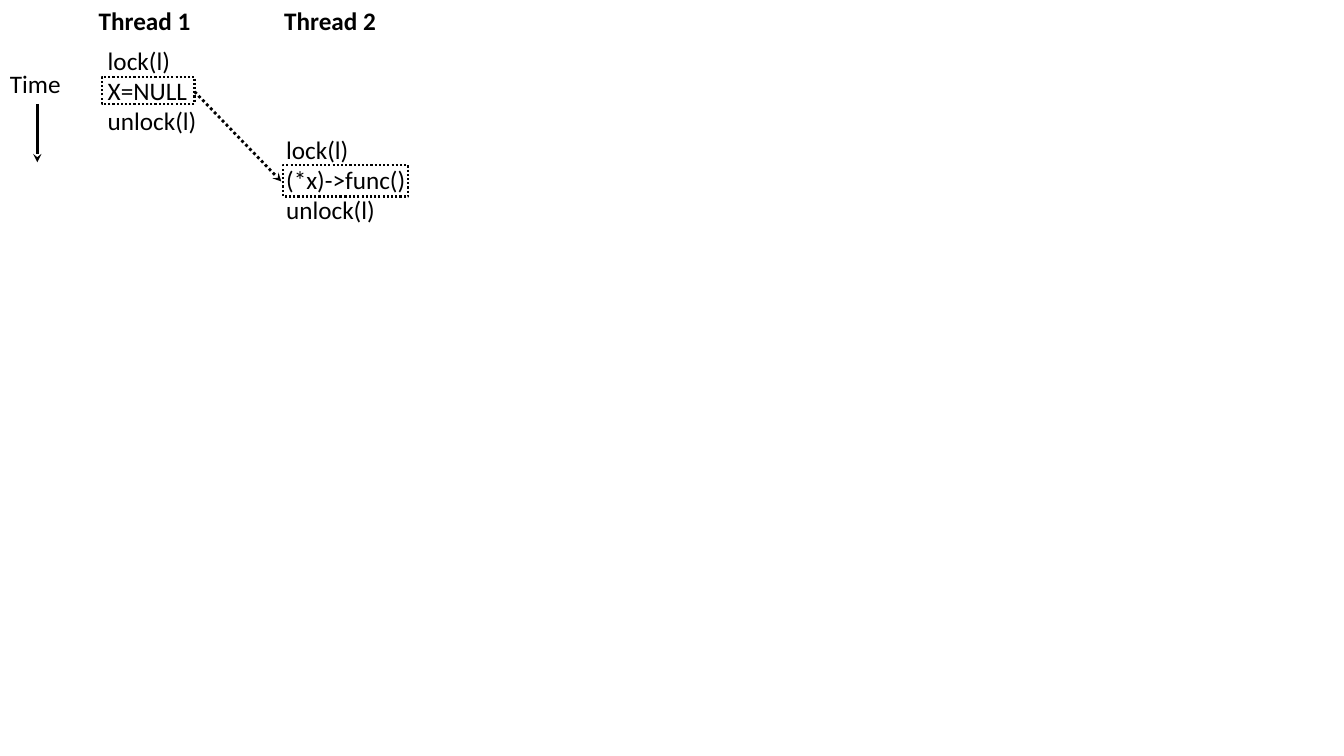
from lxml import etree
from pptx import Presentation
from pptx.dml.color import RGBColor
from pptx.enum import dml, shapes, text
from pptx.oxml import ns
from pptx.util import Inches, Pt

COLORS = {"ink": "000000"}
FONT = "Calibri"
THREADS = [
    # heading, heading left, code left, code top, code width, code lines
    ("Thread 1", 0.88, 0.97, 0.4, 1.09, ["lock(l)", "X=NULL", "unlock(l)"]),
    ("Thread 2", 2.72, 2.74, 1.28, 1.4, ["lock(l)", "(*x)->func()", "unlock(l)"]),
]
HIGHLIGHTS = [(1.01, 0.76, 0.92, 0.27), (2.81, 1.64, 1.24, 0.31)]


def add_text(parent, left, top, width, height, lines, bold=False):
    box = parent.add_textbox(Inches(left), Inches(top), Inches(width), Inches(height))
    frame = box.text_frame
    frame.word_wrap = False
    frame.auto_size = text.MSO_AUTO_SIZE.SHAPE_TO_FIT_TEXT
    for index, line in enumerate(lines):
        para = frame.add_paragraph() if index else frame.paragraphs[0]
        span = para.add_run()
        span.text = line
        span.font.name = FONT
        span.font.size = Pt(18)
        span.font.bold = bold
        span.font.color.rgb = RGBColor.from_string(COLORS["ink"])


def style_line(line, width, dotted):
    line.color.rgb = RGBColor.from_string(COLORS["ink"])
    line.width = Pt(width)
    if dotted:
        line.dash_style = dml.MSO_LINE.ROUND_DOT


def add_arrow(parent, start, end, dotted=False):
    arrow = parent.add_connector(
        shapes.MSO_CONNECTOR.STRAIGHT, *(Inches(value) for value in start + end))
    style_line(arrow.line, 2, dotted)
    etree.SubElement(arrow.line._get_or_add_ln(), ns.qn("a:tailEnd"), type="stealth")
    etree.SubElement(arrow._element.spPr, ns.qn("a:effectLst"))


def add_highlight(parent, left, top, width, height):
    frame = parent.add_shape(
        shapes.MSO_SHAPE.RECTANGLE,
        Inches(left), Inches(top), Inches(width), Inches(height))
    frame.shadow.inherit = False
    frame.fill.background()
    style_line(frame.line, 1.5, dotted=True)


def main():
    deck = Presentation()
    deck.slide_width, deck.slide_height = Inches(13.33), Inches(7.5)
    page = deck.slides.add_slide(deck.slide_layouts[6])

    time_axis = page.shapes.add_group_shape().shapes
    add_text(time_axis, 0, 0.63, 0.71, 0.4, ["Time"])
    add_arrow(time_axis, (0.37, 1.03), (0.37, 1.61))

    for heading, heading_left, left, top, width, code in THREADS:
        add_text(page.shapes, heading_left, 0, 1.12, 0.4, [heading], bold=True)
        add_text(page.shapes, left, top, width, 1.01, code)

    add_arrow(page.shapes, (1.93, 0.91), (2.79, 1.8), dotted=True)
    for bounds in HIGHLIGHTS:
        add_highlight(page.shapes, *bounds)

    deck.save("out.pptx")


if __name__ == "__main__":
    main()
